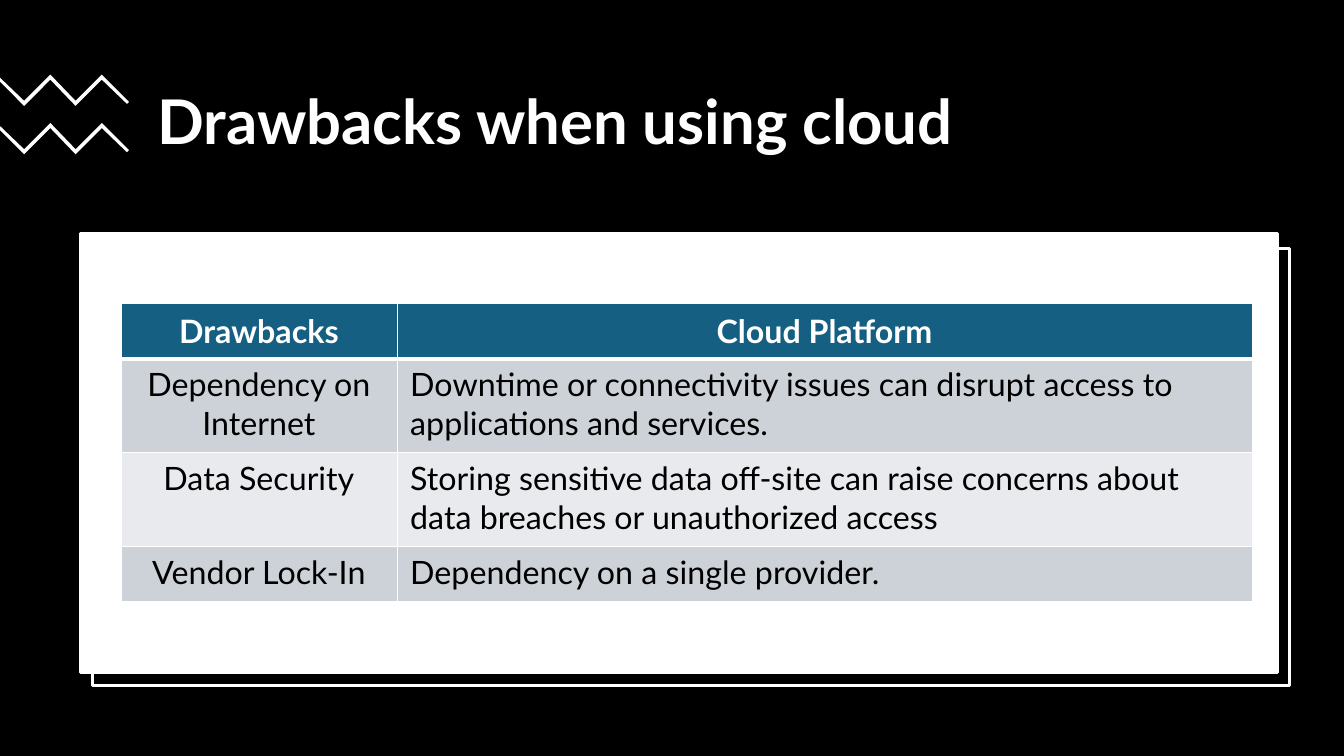
"""Build the slide on the drawbacks of using cloud."""
from dataclasses import dataclass
from lxml import etree
from pptx import Presentation
from pptx.dml.color import RGBColor
from pptx.enum.shapes import MSO_SHAPE
from pptx.enum.text import MSO_ANCHOR, PP_ALIGN
from pptx.oxml.ns import qn
from pptx.util import Inches, Pt

RECT = MSO_SHAPE.RECTANGLE
LEFT, CENTER = PP_ALIGN.LEFT, PP_ALIGN.CENTER
TOP, MIDDLE = MSO_ANCHOR.TOP, MSO_ANCHOR.MIDDLE

TITLE = "Drawbacks when using cloud"
ROWS = [
    ("Drawbacks", "Cloud Platform"),
    ("Dependency on Internet",
     "Downtime or connectivity issues can disrupt access to applications and services."),
    ("Data Security",
     "Storing sensitive data off-site can raise concerns about data breaches or unauthorized access"),
    ("Vendor Lock-In", "Dependency on a single provider."),
]

WIDE, HIGH = Inches(13.33), Inches(7.5)
FULL = (0, 0, 100, 100)
HEAD = (10.95, 8.27, 79.97, 16.4)
FRAME = (6.9, 32.93, 89.05, 57.73)
CARD = (6, 30.93, 89.05, 58)
GRID = (9, 40.13)
COLS = (20.55, 63.62)
LINES = (7.33, 12.4, 12.4, 7.33)
WAVES = (9.87, 16.27)
BENDS = [(1.8, 3.47), (3.75, 0), (5.63, 3.47), (7.58, 0)]
THICK = 0.67


@dataclass(frozen=True)
class Theme:
    font: str = "Lato"
    dark: str = "000000"
    light: str = "FFFFFF"
    head: str = "156082"
    odd: str = "CCD2D8"
    even: str = "E8EAED"
    title: float = 44
    body: float = 23
    edge: float = 2.25
    rule: float = 1
    bar: float = 3


THEME = Theme()


def across(share):
    return round(WIDE * share / 100)


def down(share):
    return round(HIGH * share / 100)


def place(left, top, width, height):
    return across(left), down(top), across(width), down(height)


def paint(item, color):
    item.fill.solid()
    item.fill.fore_color.rgb = RGBColor.from_string(color)


def write(frame, text, *, size, color, bold=False, align=LEFT, gap=1.0):
    frame.word_wrap = True
    par = frame.paragraphs[0]
    par.alignment = align
    par.line_spacing = gap
    run = par.add_run()
    run.text = text
    run.font.name = THEME.font
    run.font.size = Pt(size)
    run.font.bold = bold
    run.font.color.rgb = RGBColor.from_string(color)


def panel(slide, area, fill, line=None):
    box = slide.shapes.add_shape(RECT, *place(*area))
    box.shadow.inherit = False
    paint(box, fill)
    if line:
        box.line.color.rgb = RGBColor.from_string(line)
        box.line.width = Pt(THEME.edge)
    else:
        box.line.fill.background()


def wave(slide, top):
    upper = [(0, 0.4), *BENDS, (9.6, 3.6)]
    lower = [(9.45, 3.87)] + [(x, y + THICK) for x, y in reversed(BENDS)] + [(0, 0.93)]
    points = [(across(x), down(top + y)) for x, y in upper + lower]
    path = slide.shapes.build_freeform(*points[0])
    path.add_line_segments(points[1:], close=True)
    shape = path.convert_to_shape()
    shape.shadow.inherit = False
    paint(shape, THEME.light)
    shape.line.fill.background()


def border(cell, sides):
    props = cell._tc.get_or_add_tcPr()
    for spot, (side, width) in enumerate(sides.items()):
        line = etree.Element(qn("a:ln" + side), w=str(Pt(width)))
        fill = etree.SubElement(line, qn("a:solidFill"))
        etree.SubElement(fill, qn("a:srgbClr"), val=THEME.light)
        props.insert(spot, line)


def chart_grid(slide):
    area = place(*GRID, sum(COLS), sum(LINES))
    table = slide.shapes.add_table(len(ROWS), len(COLS), *area).table
    for col, share in zip(table.columns, COLS):
        col.width = across(share)
    for r, (row, share) in enumerate(zip(ROWS, LINES)):
        table.rows[r].height = down(share)
        first = r == 0
        for c, text in enumerate(row):
            cell = table.cell(r, c)
            cell.margin_left = cell.margin_right = Inches(0.13)
            cell.margin_top = cell.margin_bottom = Inches(0.06)
            cell.vertical_anchor = MIDDLE if first else TOP
            paint(cell, THEME.head if first else THEME.odd if r % 2 else THEME.even)
            border(cell, {"L": THEME.rule, "R": THEME.rule,
                          "T": THEME.bar if r == 1 else THEME.rule,
                          "B": THEME.bar if first else THEME.rule})
            write(cell.text_frame, text, size=THEME.body, bold=first,
                  color=THEME.light if first else THEME.dark,
                  align=CENTER if first or c == 0 else LEFT)


def main():
    deck = Presentation()
    deck.slide_width, deck.slide_height = WIDE, HIGH
    slide = deck.slides.add_slide(deck.slide_layouts[5])
    panel(slide, FULL, THEME.dark)
    title = slide.shapes.title
    title.left, title.top, title.width, title.height = place(*HEAD)
    title.text_frame.vertical_anchor = MIDDLE
    write(title.text_frame, TITLE, size=THEME.title, color=THEME.light, bold=True, gap=0.9)
    title.element.getparent().append(title.element)
    for top in WAVES:
        wave(slide, top)
    panel(slide, FRAME, THEME.dark, THEME.light)
    panel(slide, CARD, THEME.light, THEME.light)
    chart_grid(slide)
    deck.save("out.pptx")


if __name__ == "__main__":
    main()
